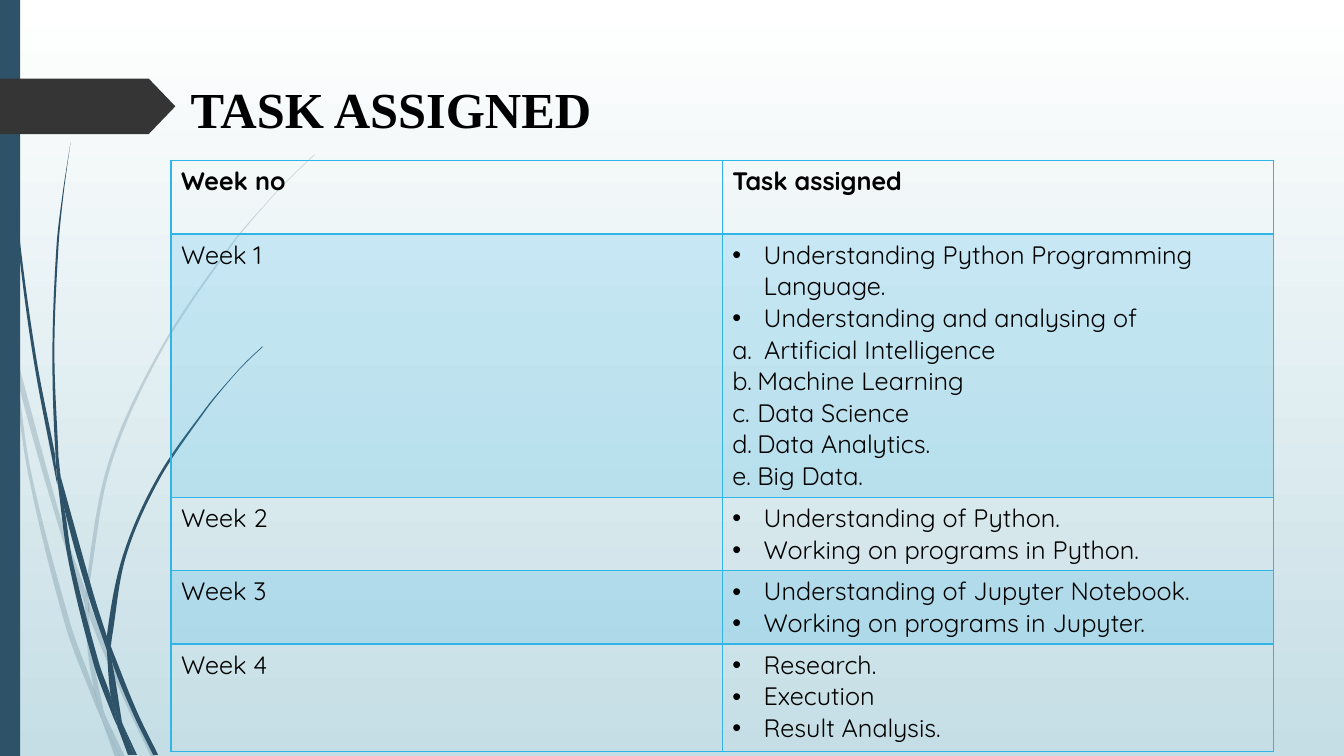
from dataclasses import dataclass
from math import dist

from lxml.etree import SubElement
from pptx import Presentation
from pptx.dml.color import RGBColor
from pptx.enum.shapes import MSO_SHAPE
from pptx.enum.text import MSO_ANCHOR, MSO_AUTO_SIZE, PP_ALIGN
from pptx.oxml import parse_xml
from pptx.oxml.ns import nsdecls, qn
from pptx.util import Cm, Pt


@dataclass(frozen=True)
class Theme:
    sky_top: str = "FFFFFF"
    sky_bottom: str = "C5DEE5"
    stem: str = "2E5369"
    marker: str = "353535"
    accent: str = "31B4E6"
    ink: str = "000000"
    title_font: str = "Times New Roman"
    body_font: str = "Quicksand"
    title_size: int = 36
    body_size: int = 18
    tint: int = 20


THEME = Theme()

# Grass blades: the edge going down, then the edge coming back, in hundredths of 2.54 cm
PALE_BLADES = [
    ([(0, 282), (9, 322), (11, 350)], [(10, 344), (0, 299)]),
    ([(14, 345), (17, 376), (58, 522), (84, 599)], [(85, 586), (62, 520), (14, 345)]),
    ([(88, 596), (88, 610), (123, 694), (150, 751)],
     [(155, 751), (127, 692), (92, 607), (88, 596)]),
    ([(105, 711), (119, 751)], [(124, 751), (105, 711)]),
    ([(11, 350), (28, 470), (65, 621), (92, 693), (101, 714)],
     [(99, 707), (93, 683), (70, 619), (31, 469), (17, 376), (11, 350)]),
    ([(84, 599), (87, 646), (93, 683), (96, 692), (105, 711)],
     [(103, 706), (91, 646), (88, 610), (84, 599)]),
    ([(312, 153), (289, 175), (268, 197), (228, 244), (158, 348), (107, 461), (85, 584),
      (88, 596)],
     [(88, 584), (110, 462), (160, 349), (229, 245), (268, 198), (290, 175), (312, 154)]),
    ([(101, 714), (114, 751)], [(119, 751), (101, 714)]),
    ([(85, 586), (84, 599), (88, 608)], [(88, 610), (88, 596), (85, 586)]),
    ([(93, 683), (99, 707), (101, 714), (119, 751)], [(105, 711), (96, 692), (93, 683)]),
]
DARK_BLADES = [
    ([(3, 0), (4, 48), (7, 110), (17, 233), (33, 355), (56, 477), (57, 481)],
     [(55, 457), (55, 453), (36, 355), (19, 232), (8, 109), (5, 48), (4, 0)]),
    ([(60, 472), (64, 505), (88, 592), (106, 645)], [(106, 631), (93, 590), (60, 472)]),
    ([(110, 641), (111, 656), (132, 708), (152, 749)],
     [(157, 749), (136, 706), (113, 649), (110, 641)]),
    ([(57, 477), (68, 557), (93, 659), (111, 708), (117, 722)],
     [(116, 717), (110, 691), (98, 657), (72, 556), (64, 505), (57, 477)]),
    ([(70, 141), (62, 193), (56, 245), (52, 349), (55, 449), (60, 472)],
     [(58, 453), (54, 349), (58, 245), (63, 193), (70, 141)]),
    ([(122, 719), (133, 749)], [(136, 749), (122, 719)]),
    ([(55, 449), (57, 477), (64, 505)], [(60, 472), (55, 449)]),
    ([(260, 344), (245, 358), (231, 373), (204, 405), (156, 474), (122, 551), (106, 631),
      (110, 641)],
     [(111, 633), (125, 552), (158, 476), (205, 406), (231, 374), (245, 359), (261, 344)]),
    ([(117, 722), (127, 749)], [(131, 749), (117, 722)]),
    ([(106, 645), (110, 691), (116, 706), (122, 719)], [(121, 716), (111, 656), (106, 645)]),
    ([(106, 631), (106, 645), (111, 656)], [(110, 641), (106, 631)]),
    ([(110, 691), (116, 717), (117, 722), (130, 749)],
     [(133, 749), (122, 719), (116, 706), (110, 691)]),
]

# Week, bulleted tasks, lettered topics, row height in cm
WEEKS = [
    ("Week 1",
     ["Understanding Python Programming Language.", "Understanding and analysing of"],
     [" Artificial Intelligence", "Machine Learning", "Data Science", "Data Analytics.",
      "Big Data."], 6.63),
    ("Week 2", ["Understanding of Python.", "Working on programs in Python."], [], 1.85),
    ("Week 3", ["Understanding of Jupyter Notebook.", "Working on programs in Jupyter."],
     [], 1.84),
    ("Week 4", ["Research.", "Execution", "Result Analysis."], [], 2.7),
]
HEADINGS = ["Week no", "Task assigned"]
HEADING_HEIGHT = 1.85


def write(paragraph, text, font=THEME.body_font, size=THEME.body_size, bold=False):
    paragraph.alignment = PP_ALIGN.LEFT
    run = paragraph.add_run()
    run.text = text
    run.font.name, run.font.size, run.font.bold = font, Pt(size), bold
    run.font.color.rgb = RGBColor.from_string(THEME.ink)
    run._r.get_or_add_rPr().set("kern", "0")


def paint(fill, holder, color, opacity=100):
    fill.solid()
    fill.fore_color.rgb = RGBColor.from_string(color)
    if opacity < 100:
        tone = holder.find(qn("a:solidFill")).find(qn("a:srgbClr"))
        SubElement(tone, qn("a:alpha")).set("val", str(opacity * 1000))


def finish(shape, color, opacity=100):
    paint(shape.fill, shape.element.spPr, color, opacity)
    shape.line.fill.background()
    shape.shadow.inherit = False


def handle(before, point, after, toward):
    """Control point beside a point of a smooth edge, on the side of its neighbour."""
    reach = dist(point, toward) / (3 * (dist(before, point) + dist(point, after)))
    sign = 1 if toward == after else -1
    return tuple(p + sign * (a - b) * reach for b, p, a in zip(before, point, after))


def bend(edge):
    """The two control points of each curve along an edge."""
    ends = [edge[0], *edge, edge[-1]]
    return [(handle(a, b, c, c), handle(b, c, d, b))
            for a, b, c, d in zip(ends, ends[1:], ends[2:], ends[3:])]


def add_blade(slide, down, back, opacity):
    # A grid a hundred times finer keeps the control points exact
    down, back = ([(x * 100, y * 100) for x, y in edge] for edge in (down, back))
    outline = down + back
    builder = slide.shapes.build_freeform(*outline[0], scale=Cm(2.54) / 10000)
    builder.add_line_segments(outline[1:], close=True)
    blade = builder.convert_to_shape()
    left, top = (min(values) for values in zip(*outline))
    segments = list(blade.element.iter(qn("a:lnTo")))
    for segment, controls in zip(segments, bend(down) + [None] + bend(back)):
        if controls:
            segment.tag = qn("a:cubicBezTo")
            for index, (x, y) in enumerate(controls):
                segment.insert(index, parse_xml(
                    f'<a:pt {nsdecls("a")} x="{round(x - left)}" y="{round(y - top)}"/>'))
    finish(blade, THEME.stem, opacity)


def add_block(slide, kind, left, top, width, height, color):
    block = slide.shapes.add_shape(kind, Cm(left), Cm(top), Cm(width), Cm(height))
    finish(block, color)
    return block


def set_background(slide):
    fill = slide.background.fill
    fill.gradient()
    fill.gradient_angle = 270
    for stop, color in zip(fill.gradient_stops, (THEME.sky_top, THEME.sky_bottom)):
        stop.color.rgb = RGBColor.from_string(color)


def set_title(slide, text):
    title = slide.shapes.title
    title.left, title.top, title.width, title.height = Cm(4.55), Cm(1.85), Cm(24.77), Cm(2.16)
    frame = title.text_frame
    frame.auto_size = MSO_AUTO_SIZE.NONE
    frame.vertical_anchor = MSO_ANCHOR.TOP
    write(frame.paragraphs[0], text, font=THEME.title_font, size=THEME.title_size, bold=True)


def set_borders(cell, bottom=1):
    properties = cell._tc.get_or_add_tcPr()
    for index, (side, width) in enumerate(zip("LRTB", (1, 1, 1, bottom))):
        properties.insert(index, parse_xml(
            f'<a:ln{side} {nsdecls("a")} w="{Pt(width)}"><a:solidFill>'
            f'<a:srgbClr val="{THEME.accent}"/></a:solidFill></a:ln{side}>'))


def set_bullet(paragraph, indent, tag, **attributes):
    properties = paragraph._p.get_or_add_pPr()
    properties.set("marL", str(Cm(indent)))
    properties.set("indent", str(-Cm(indent)))
    if tag == "a:buChar":
        SubElement(properties, qn("a:buFont")).set("typeface", "Arial")
    SubElement(properties, qn(tag), attributes)


def fill_tasks(frame, tasks, topics):
    for number, text in enumerate(tasks + topics):
        paragraph = frame.add_paragraph() if number else frame.paragraphs[0]
        write(paragraph, text)
        if number < len(tasks):
            set_bullet(paragraph, 0.79, "a:buChar", char="•")
        else:
            set_bullet(paragraph, 0.63, "a:buAutoNum", type="alphaLcPeriod")


def add_schedule(slide):
    heights = [HEADING_HEIGHT] + [week[-1] for week in WEEKS]
    table = slide.shapes.add_table(len(heights), len(HEADINGS), Cm(4.31), Cm(4.05),
                                   Cm(27.78), Cm(sum(heights))).table
    table.first_row = table.horz_banding = False
    for row, height in zip(table.rows, heights):
        row.height = Cm(height)
    for cell, heading in zip(table.rows[0].cells, HEADINGS):
        write(cell.text_frame.paragraphs[0], heading, bold=True)
    for number, (week, tasks, topics, _) in enumerate(WEEKS, 1):
        write(table.cell(number, 0).text_frame.paragraphs[0], week)
        fill_tasks(table.cell(number, 1).text_frame, tasks, topics)

    # Every second row is tinted; a heavier rule closes the heading
    for number, row in enumerate(table.rows):
        for cell in row.cells:
            if number % 2:
                paint(cell.fill, cell._tc.get_or_add_tcPr(), THEME.accent, THEME.tint)
            else:
                cell.fill.background()
            set_borders(cell, bottom=1 if number else 2)


def main():
    deck = Presentation()
    deck.slide_width, deck.slide_height = Cm(33.87), Cm(19.05)
    slide = deck.slides.add_slide(deck.slide_layouts[5])
    set_background(slide)

    # Grass, side band and title marker
    for blades, opacity in ((PALE_BLADES, THEME.tint), (DARK_BLADES, 100)):
        for down, back in blades:
            add_blade(slide, down, back, opacity)
    add_block(slide, MSO_SHAPE.RECTANGLE, 0, 0, 0.51, 19.05, THEME.stem)
    marker = add_block(slide, MSO_SHAPE.PENTAGON, 0, 1.98, 4.42, 1.4, THEME.marker)
    marker.adjustments[0] = 0.48

    # Content
    set_title(slide, "TASK ASSIGNED")
    add_schedule(slide)
    deck.save("out.pptx")


if __name__ == "__main__":
    main()
